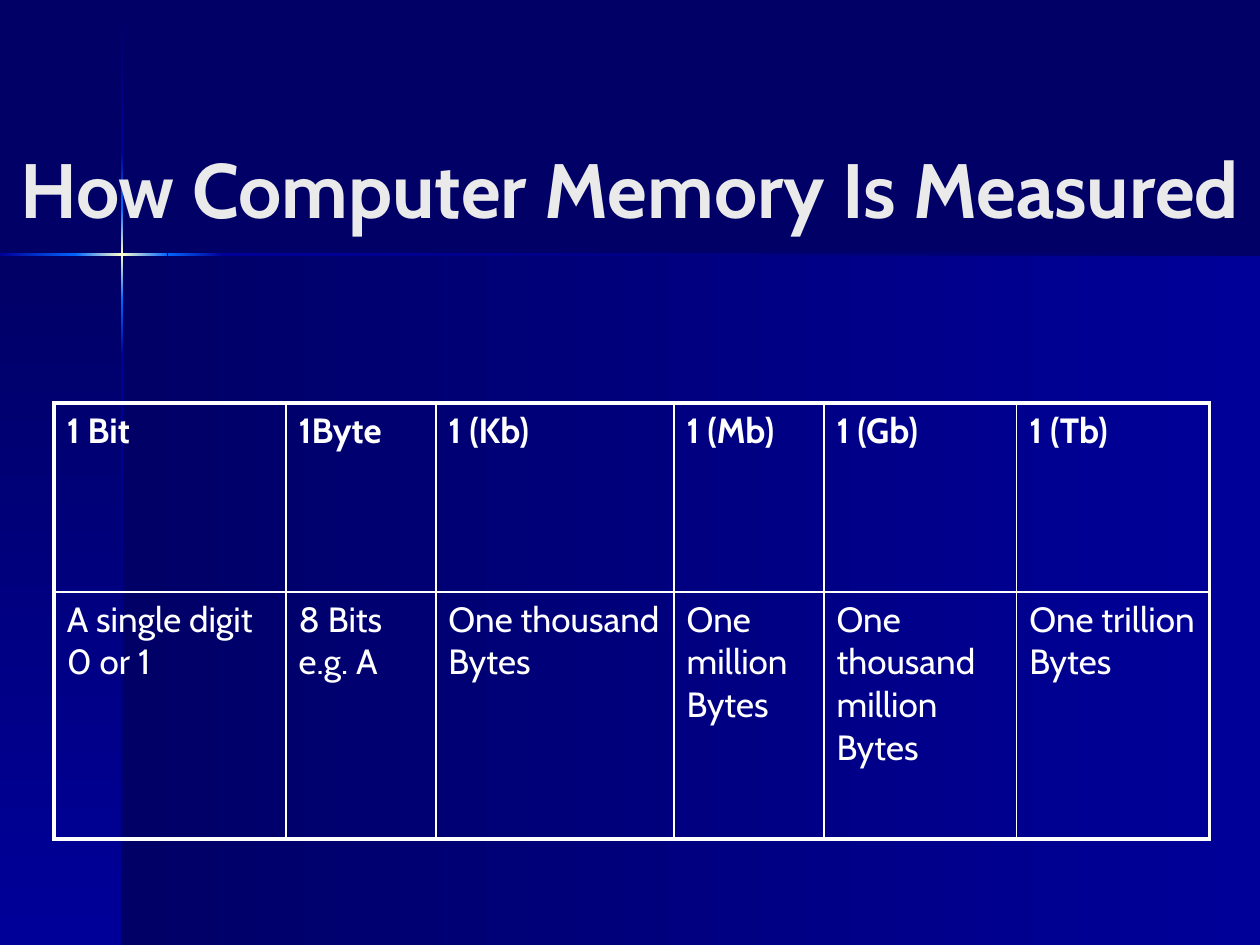
from copy import deepcopy

from lxml.etree import SubElement
from pptx import Presentation
from pptx.dml.color import RGBColor
from pptx.enum.shapes import MSO_SHAPE
from pptx.enum.text import MSO_ANCHOR, PP_ALIGN
from pptx.oxml.ns import qn
from pptx.util import Inches, Pt

NAVY = RGBColor(0x00, 0x00, 0x66)
BLUE = RGBColor(0x00, 0x00, 0x99)
BRIGHT = RGBColor(0x00, 0x66, 0xFF)
CREAM = RGBColor(0xFF, 0xFF, 0xCC)
SILVER = RGBColor(0xEA, 0xEA, 0xEA)
WHITE = RGBColor(0xFF, 0xFF, 0xFF)

TITLE_FORMAT = {"name": "Cabin", "size": Pt(44), "bold": True}
HEADER_FORMAT = {"name": "Cabin", "size": Pt(20), "bold": True}
BODY_FORMAT = {"name": "Cabin", "size": Pt(20), "bold": False}

DOWN = 270  # gradient angles run counter-clockwise
ACROSS = 0
THIN, THICK = Pt(1), Pt(2.25)
BEAM = 0.02

# Left, top, width, height, direction, colours
PANELS = [
    (0.97, 2.02, 9.03, 5.48, ACROSS, (NAVY, BLUE)),
    (0, 2.02, 0.97, 5.48, DOWN, (NAVY, BLUE)),
]
# Start, length, colours
VERTICAL_BEAM = [
    (0.01, 1.2, (NAVY, BLUE)),
    (2.82, 4.68, (BLUE, NAVY)),
    (2.38, 0.44, (BRIGHT, BLUE)),
    (1.21, 0.44, (BLUE, BRIGHT)),
    (1.65, 0.73, (BRIGHT, CREAM, BRIGHT)),
]
HORIZONTAL_BEAM = [
    (1.77, 8.23, (BLUE, NAVY)),
    (0, 0.61, (BLUE, BRIGHT)),
    (1.33, 0.44, (BRIGHT, BLUE)),
    (0.6, 0.73, (BRIGHT, CREAM, BRIGHT)),
]

COLUMN_WIDTHS = [1.84, 1.19, 1.89, 1.19, 1.53, 1.53]
ROW_HEIGHTS = [1.5, 1.96]
MEMORY_UNITS = [
    ["1 Bit", "1Byte", "1 (Kb)", "1 (Mb)", "1 (Gb)", "1 (Tb)"],
    ["A single digit 0 or 1", "8 Bits e.g. A", "One thousand Bytes",
     "One million Bytes", "One thousand million Bytes", "One trillion Bytes"],
]


class SlideBuilder:
    def __init__(self, deck, background):
        self.slide = deck.slides.add_slide(deck.slide_layouts[6])
        fill = self.slide.background.fill
        fill.solid()
        fill.fore_color.rgb = background

    def add_text(self, frame, text, formats, color, align=PP_ALIGN.LEFT):
        para = frame.paragraphs[0]
        para.alignment = align
        span = para.add_run()
        span.text = text
        for name, value in formats.items():
            setattr(span.font, name, value)
        span.font.color.rgb = color

    def gradient(self, left, top, width, height, angle, colors):
        panel = self.slide.shapes.add_shape(
            MSO_SHAPE.RECTANGLE,
            Inches(left), Inches(top), Inches(width), Inches(height))
        panel.shadow.inherit = False
        panel.line.fill.background()
        panel.fill.gradient()
        panel.fill.gradient_angle = angle
        stop_list = panel._element.spPr.find(".//" + qn("a:gsLst"))
        for _ in colors[2:]:
            stop_list.append(deepcopy(stop_list[0]))
        for index, (stop, color) in enumerate(zip(panel.fill.gradient_stops, colors)):
            stop.position = index / (len(colors) - 1)
            stop.color.rgb = color

    def title(self, text, left, top, width, height):
        box = self.slide.shapes.add_textbox(
            Inches(left), Inches(top), Inches(width), Inches(height))
        frame = box.text_frame
        frame.word_wrap = True
        frame.vertical_anchor = MSO_ANCHOR.MIDDLE
        self.add_text(frame, text, TITLE_FORMAT, SILVER, PP_ALIGN.CENTER)

    def border(self, cell, widths):
        properties = cell._tc.get_or_add_tcPr()
        for position, (side, width) in enumerate(widths.items()):
            line = properties.makeelement(qn(f"a:{side}"), {"w": str(width)})
            fill = SubElement(line, qn("a:solidFill"))
            SubElement(fill, qn("a:srgbClr"), val=str(WHITE))
            properties.insert(position, line)

    def table(self, rows, left, top, column_widths, row_heights):
        last_row, last_column = len(rows) - 1, len(column_widths) - 1
        table = self.slide.shapes.add_table(
            len(rows), len(column_widths), Inches(left), Inches(top),
            Inches(sum(column_widths)), Inches(sum(row_heights))).table
        table.first_row = table.horz_banding = False
        for column, width in zip(table.columns, column_widths):
            column.width = Inches(width)
        for row, height in zip(table.rows, row_heights):
            row.height = Inches(height)
        for r, texts in enumerate(rows):
            for c, text in enumerate(texts):
                cell = table.cell(r, c)
                cell.fill.background()
                formats = HEADER_FORMAT if r == 0 else BODY_FORMAT
                self.add_text(cell.text_frame, text, formats, WHITE)
                self.border(cell, {
                    "lnL": THICK if c == 0 else THIN,
                    "lnR": THICK if c == last_column else THIN,
                    "lnT": THICK if r == 0 else THIN,
                    "lnB": THICK if r == last_row else THIN,
                })


def main():
    deck = Presentation()
    deck.slide_width, deck.slide_height = Inches(10), Inches(7.5)
    page = SlideBuilder(deck, NAVY)

    # Background panels and the crossing light beams
    for panel in PANELS:
        page.gradient(*panel)
    for start, length, colors in VERTICAL_BEAM:
        page.gradient(0.96, start, BEAM, length, DOWN, colors)
    for start, length, colors in HORIZONTAL_BEAM:
        page.gradient(start, 2.01, length, BEAM, ACROSS, colors)

    # Title and table of memory units
    page.title("How Computer Memory Is Measured", 0, 0.44, 10, 2.1)
    page.table(MEMORY_UNITS, 0.43, 3.2, COLUMN_WIDTHS, ROW_HEIGHTS)

    deck.save("out.pptx")


if __name__ == "__main__":
    main()
